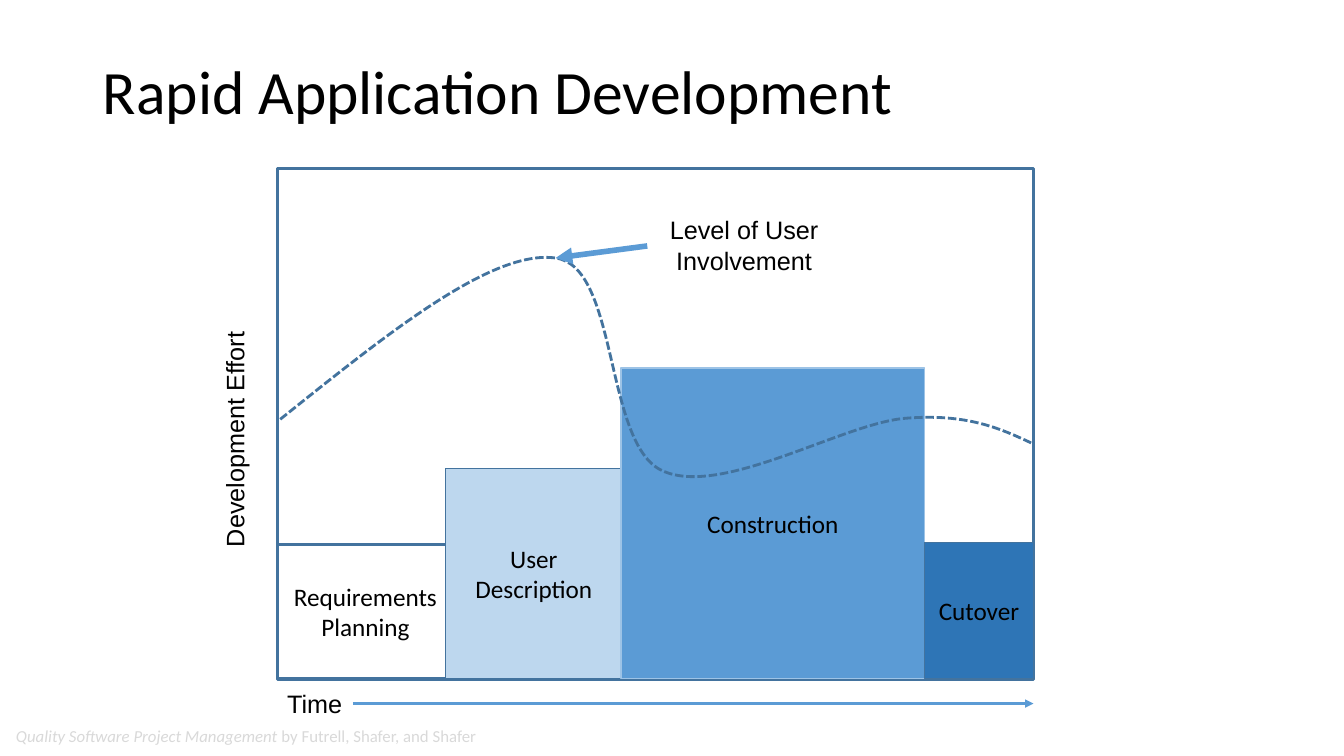
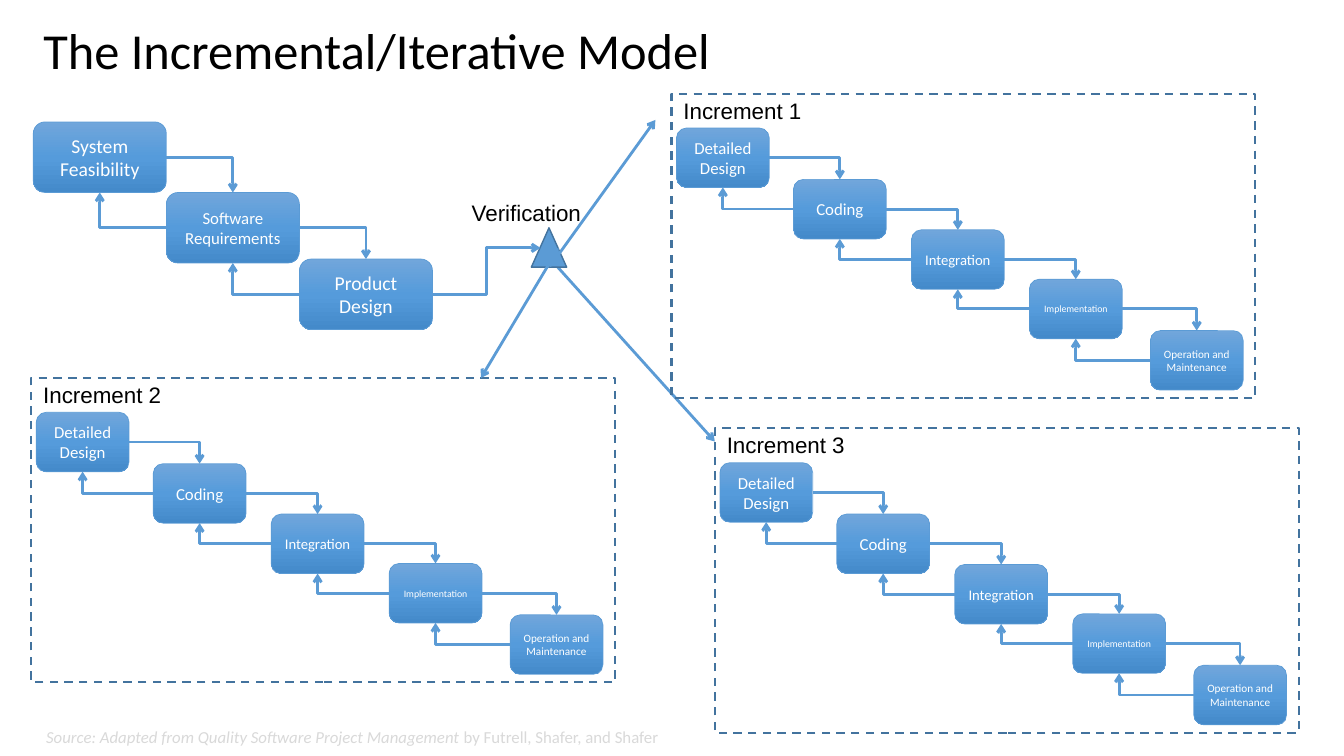
from copy import deepcopy
from dataclasses import dataclass

from lxml import etree
from pptx import Presentation
from pptx.dml.color import RGBColor
from pptx.enum.dml import MSO_LINE
from pptx.enum.shapes import MSO_CONNECTOR as CXN, MSO_SHAPE as SHAPE
from pptx.enum.text import MSO_ANCHOR as ANCHOR, MSO_AUTO_SIZE as AUTO, PP_ALIGN as ALIGN
from pptx.oxml.ns import qn
from pptx.oxml.xmlchemy import OxmlElement
from pptx.util import Inches, Pt


@dataclass(frozen=True)
class Theme:
    black: str = "000000"
    white: str = "FFFFFF"
    pale: str = "BDD7EE"
    light: str = "9DC3E6"
    blue: str = "5B9BD5"
    deep: str = "2E75B6"
    outline: str = "43739E"
    credit: str = "D9D9D9"
    gradient: tuple = ((0, "71A6DB"), (0.5, "559BDB"), (1, "448ACA"))
    head_font: str = "Calibri"
    label_font: str = "Arial"
    title_size: float = 44
    small_title_size: float = 36
    body_size: float = 18
    label_size: float = 16
    credit_size: float = 12


T = Theme()

# Stages of the effort chart: text, left, top, width, height, fill, line, line width
STAGES = [
    ("Requirements Planning", 2.75, 5.4, 1.75, 1.33, None, T.outline, 2),
    ("User Description", 4.42, 4.65, 1.75, 2.08, T.pale, T.outline, 1),
    ("Construction", 6.16, 3.65, 3.01, 3.08, T.blue, T.light, 1),
    ("Cutover", 9.17, 5.38, 1.08, 1.35, T.deep, T.outline, 1),
]

# User involvement: start point, then two control points and an end for each curve
CURVE_START = (2.78, 4.16)
CURVES = [
    ((3.83, 3.32), (4.88, 2.47), (5.51, 2.56)),
    ((6.14, 2.64), (5.99, 4.41), (6.57, 4.67)),
    ((7.15, 4.94), (8.36, 4.2), (8.98, 4.15)),
    ((9.59, 4.1), (9.92, 4.25), (10.24, 4.4)),
]

# Cascade steps: text, type size, offset right, offset down
FRONT_STEPS = [
    ("System Feasibility", 14, 0, 0),
    ("Software Requirements", 12, 1.32, 0.7),
    ("Product Design", 14, 2.64, 1.36),
]
INCREMENT_STEPS = [
    ("Detailed Design", 12, 0.05, 0.34),
    ("Coding", 12, 1.21, 0.85),
    ("Integration", 10.5, 2.38, 1.35),
    ("Implementation", 7, 3.55, 1.84),
    ("Operation and Maintenance", 8, 4.75, 2.35),
]
INCREMENTS = [(6.66, 0.93), (0.31, 3.75), (7.09, 4.25)]


def rgb(color):
    return RGBColor.from_string(color)


def inches(*values):
    return [Inches(v) for v in values]


class Deck:
    """Holds the presentation, its style and the current slide."""

    def __init__(self, theme):
        self.t = theme
        self.prs = Presentation()
        self.prs.slide_width, self.prs.slide_height = inches(13.33, 7.5)
        self.s = None

    def font(self, p, size, color, name):
        for r in p.runs:
            r.font.size = Pt(size)
            r.font.name = name
            r.font.color.rgb = rgb(color)

    def slide(self, title, at, size):
        self.s = self.prs.slides.add_slide(self.prs.slide_layouts[5])
        sp = self.s.shapes.title
        sp.left, sp.top, sp.width, sp.height = inches(*at)
        tf = sp.text_frame
        tf.text = title
        tf.auto_size = AUTO.NONE
        tf.vertical_anchor = ANCHOR.MIDDLE
        p = tf.paragraphs[0]
        p.alignment = ALIGN.LEFT
        p.line_spacing = 0.9
        self.font(p, size, self.t.black, self.t.head_font)

    def paint(self, sp, fill=None, line=None, width=1, dash=None):
        sp.shadow.inherit = False
        if fill:
            sp.fill.solid()
            sp.fill.fore_color.rgb = rgb(fill)
        else:
            sp.fill.background()
        if line:
            sp.line.color.rgb = rgb(line)
            sp.line.width = Pt(width)
            if dash:
                sp.line.dash_style = dash
        else:
            sp.line.fill.background()

    def shape(self, at, kind=SHAPE.RECTANGLE, **style):
        sp = self.s.shapes.add_shape(kind, *inches(*at))
        self.paint(sp, **style)
        return sp

    def caption(self, sp, text, size, color):
        tf = sp.text_frame
        tf.text = text
        tf.word_wrap = True
        tf.vertical_anchor = ANCHOR.MIDDLE
        p = tf.paragraphs[0]
        p.alignment = ALIGN.CENTER
        self.font(p, size, color, self.t.head_font)

    def step(self, text, size, at):
        sp = self.shape(at, SHAPE.ROUNDED_RECTANGLE, line=self.t.blue, width=0.5)
        sp.fill.gradient()
        sp.fill.gradient_angle = 270
        stop_list = sp.element.spPr.find(".//" + qn("a:gsLst"))
        stop_list.append(deepcopy(stop_list[0]))
        for stop, (position, color) in zip(sp.fill.gradient_stops, self.t.gradient):
            stop.position = position
            stop.color.rgb = rgb(color)
        self.caption(sp, text, size, self.t.white)
        sp.text_frame.margin_left = sp.text_frame.margin_right = Inches(0.05)
        return sp

    def label(self, text, at, size, align=ALIGN.LEFT, rotation=0):
        sp = self.s.shapes.add_textbox(*inches(*at))
        sp.rotation = rotation
        tf = sp.text_frame
        tf.word_wrap = True
        tf.text = text
        p = tf.paragraphs[0]
        p.alignment = align
        self.font(p, size, self.t.black, self.t.label_font)

    def credit(self, work, authors, left, top):
        sp = self.shape((left, top, 9.4, 0.3), fill=self.t.white)
        tf = sp.text_frame
        tf.word_wrap = True
        tf.vertical_anchor = ANCHOR.TOP
        p = tf.paragraphs[0]
        p.alignment = ALIGN.LEFT
        for text, italic in ((work, True), (authors, False)):
            r = p.add_run()
            r.text = text
            r.font.italic = italic
        self.font(p, self.t.credit_size, self.t.credit, self.t.head_font)

    def arrow(self, start, end, kind=CXN.STRAIGHT, width=2, tip="arrow", both=False):
        c = self.s.shapes.add_connector(kind, *inches(*start, *end))
        c.line.color.rgb = rgb(self.t.blue)
        c.line.width = Pt(width)
        ln = c.get_or_add_ln()
        if both:
            etree.SubElement(ln, qn("a:headEnd"), type=tip)
        etree.SubElement(ln, qn("a:tailEnd"), type=tip)
        etree.SubElement(c.element.spPr, qn("a:effectLst"))
        return c

    def corner(self, source, source_side, target, target_side):
        """Arrow with a single right-angle bend between two steps."""
        c = self.arrow((0, 0), (1, 1), CXN.ELBOW)
        c.begin_connect(source, source_side)
        c.end_connect(target, target_side)
        c.element.spPr.find(qn("a:prstGeom")).set("prst", "bentConnector2")

    def cascade(self, left, top, width, height, steps):
        """Descending steps, with an arrow forward and one back between neighbours."""
        boxes = [self.step(text, size, (left + dx, top + dy, width, height))
                 for text, size, dx, dy in steps]
        for upper, lower in zip(boxes, boxes[1:]):
            self.corner(upper, 3, lower, 0)
            self.corner(lower, 1, upper, 2)
        return boxes

    def increment(self, number, left, top):
        self.cascade(left, top, 0.92, 0.59, INCREMENT_STEPS)
        self.label(f"Increment {number}", (left + 0.02, top - 0.02, 3.01, 0.37),
                   self.t.label_size)
        self.shape((left, top, 5.79, 3.02), line=self.t.outline, width=1.5,
                   dash=MSO_LINE.DASH)

    def curve(self, start, curves):
        """Dashed open outline of cubic curves."""
        builder = self.s.shapes.build_freeform(*inches(*start), scale=1.0)
        builder.add_line_segments([inches(*points[-1]) for points in curves], close=False)
        sp = builder.convert_to_shape()
        path = sp.element.spPr.find(".//" + qn("a:path"))
        for segment, points in zip(path.findall(qn("a:lnTo")), curves):
            bezier = OxmlElement("a:cubicBezTo")
            for x, y in points:
                etree.SubElement(bezier, qn("a:pt"), x=str(Inches(x) - sp.left),
                                 y=str(Inches(y) - sp.top))
            path.replace(segment, bezier)
        self.paint(sp, line=self.t.outline, width=2, dash=MSO_LINE.SQUARE_DOT)


def rapid_development(d):
    d.slide("Rapid Application Development", (0.92, 0.21, 11.5, 1.45), T.title_size)

    # Plot area and stages
    d.shape((2.75, 1.67, 7.5, 5.07), line=T.outline, width=2)
    for text, left, top, width, height, fill, line, weight in STAGES:
        sp = d.shape((left, top, width, height), fill=fill, line=line, width=weight)
        d.caption(sp, text, T.body_size, T.black)

    # Axes
    d.arrow((3.5, 6.98), (10.25, 6.98), tip="triangle")
    d.label("Time", (2.75, 6.78, 0.92, 0.4), T.body_size)
    d.label("Development Effort", (1.12, 4.12, 2.41, 0.4), T.body_size, rotation=270)

    # User involvement
    d.curve(CURVE_START, CURVES)
    d.label("Level of User Involvement", (6.42, 2.08, 1.92, 0.71), T.body_size,
            ALIGN.CENTER)
    d.arrow((6.42, 2.44), (5.51, 2.56), width=4, tip="triangle")
    d.credit("Quality Software Project Management ", "by Futrell, Shafer, and Shafer",
             0.06, 7.15)


def incremental_model(d):
    d.slide("The Incremental/Iterative Model", (0.33, 0.11, 11.5, 0.83),
            T.small_title_size)
    d.credit("Source: Adapted from Quality Software Project Management ",
             "by Futrell, Shafer, and Shafer", 0.36, 7.16)
    d.arrow((5.36, 2.46), (7.09, 4.38), both=True)

    # Shared front steps and the three increments
    product_design = d.cascade(0.33, 1.21, 1.32, 0.7, FRONT_STEPS)[-1]
    for number, (left, top) in enumerate(INCREMENTS, 1):
        d.increment(number, left, top)

    # Verification
    d.shape((5.27, 2.26, 0.35, 0.39), SHAPE.ISOSCELES_TRIANGLE, fill=T.blue,
            line=T.outline)
    c = d.arrow((4.29, 2.92), (5.36, 2.46), CXN.ELBOW)
    c.begin_connect(product_design, 3)
    d.arrow((5.45, 2.65), (6.5, 1.19), both=True)
    d.arrow((5.54, 2.46), (4.77, 3.75), both=True)
    d.label("Verification", (4.58, 1.93, 3.01, 0.37), T.label_size)


def main():
    d = Deck(T)
    rapid_development(d)
    incremental_model(d)
    d.prs.save("out.pptx")


if __name__ == "__main__":
    main()
